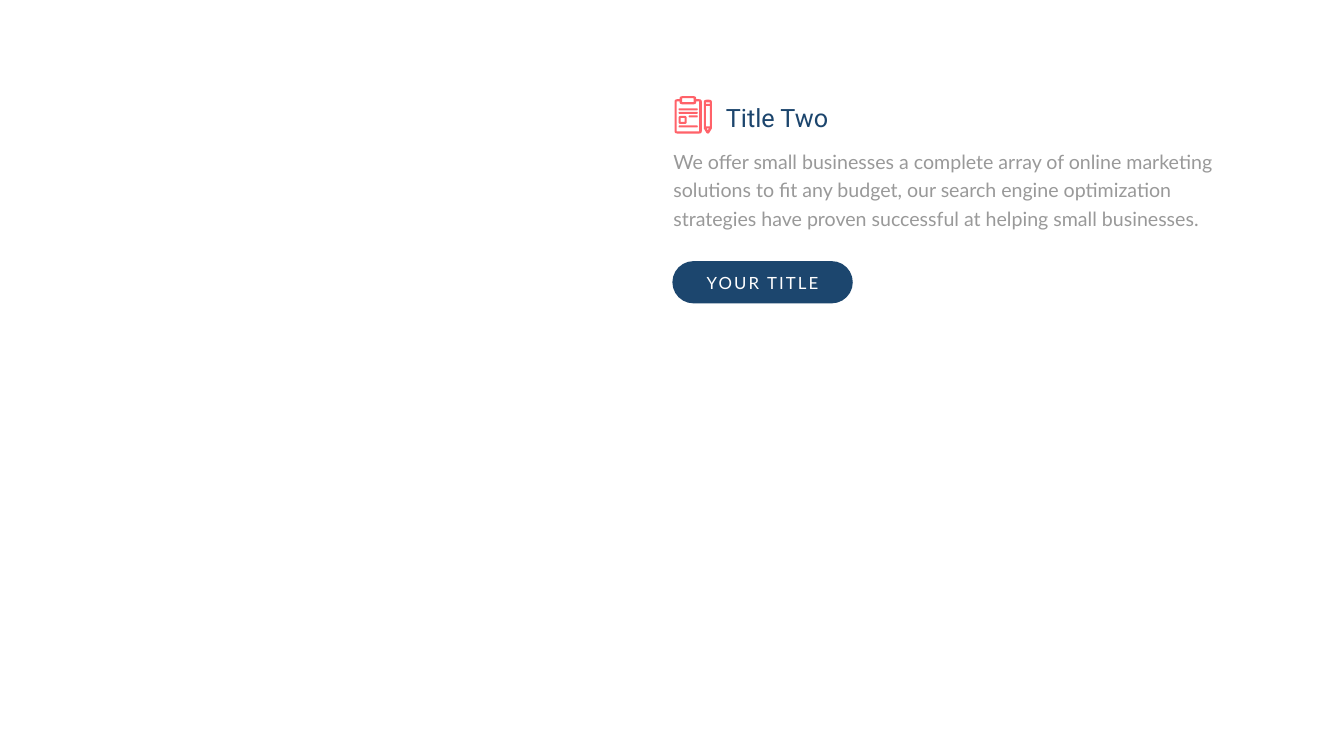
from dataclasses import dataclass
from pptx import Presentation
from pptx.dml.color import RGBColor
from pptx.enum.shapes import MSO_SHAPE
from pptx.enum.text import MSO_ANCHOR, MSO_AUTO_SIZE, PP_ALIGN
from pptx.util import Cm, Pt


@dataclass(frozen=True)
class Theme:
    navy: str = "1C466E"
    ink: str = "1C456D"
    coral: str = "FF6269"
    gray: str = "999999"
    white: str = "FFFFFF"
    head: str = "Roboto"
    body: str = "Lato"
    big: int = 36
    mid: int = 28
    small: int = 24


def write(frame, text, *, font, size, color, align=PP_ALIGN.LEFT,
          lead=None, track=None, wrap=True):
    frame.word_wrap = wrap
    frame.auto_size = MSO_AUTO_SIZE.NONE
    frame.vertical_anchor = MSO_ANCHOR.TOP
    line = frame.paragraphs[0]
    line.alignment = align
    if lead:
        line.line_spacing = Pt(lead)
    run = line.add_run()
    run.text = text
    run.font.name = font
    run.font.size = Pt(size)
    run.font.color.rgb = RGBColor.from_string(color)
    if track:
        run.font._element.set("spc", str(track * 100))


def curve(corners, steps=5):
    points = []
    for i, (x, y, r) in enumerate(corners):
        if not r:
            points.append((x, y))
            continue
        ends = []
        for u, v, _ in (corners[i - 1], corners[(i + 1) % len(corners)]):
            span = ((u - x) ** 2 + (v - y) ** 2) ** 0.5
            ends.append((x + (u - x) * r / span, y + (v - y) * r / span))
        (a, b), (c, d) = ends
        for k in range(steps + 1):
            t = k / steps
            p, q, s = (1 - t) ** 2, 2 * t * (1 - t), t ** 2
            points.append((p * a + q * x + s * c, p * b + q * y + s * d))
    return points


def box(x, y, w, h, r=0):
    return [(x, y, r), (x + w, y, r), (x + w, y + h, r), (x, y + h, r)]


class Deck:
    def __init__(self, theme, width, height):
        self.theme = theme
        self.file = Presentation()
        self.file.slide_width = Cm(width)
        self.file.slide_height = Cm(height)
        self.slide = self.file.slides.add_slide(self.file.slide_layouts[5])

    def paint(self, shape, color):
        shape.shadow.inherit = False
        shape.fill.solid()
        shape.fill.fore_color.rgb = RGBColor.from_string(color)
        shape.line.fill.background()

    def title(self, text, x, y, w, h, **style):
        shape = self.slide.shapes.title
        shape.left, shape.top, shape.width, shape.height = map(Cm, (x, y, w, h))
        write(shape.text_frame, text, **style)

    def text(self, text, x, y, w, h, **style):
        shape = self.slide.shapes.add_textbox(*map(Cm, (x, y, w, h)))
        write(shape.text_frame, text, **style)

    def pill(self, x, y, w, h, color):
        shape = self.slide.shapes.add_shape(
            MSO_SHAPE.ROUNDED_RECTANGLE, *map(Cm, (x, y, w, h)))
        shape.adjustments[0] = 0.5
        self.paint(shape, color)

    def icon(self, parts, x, y, unit, color):
        group = self.slide.shapes.add_group_shape()
        for part in parts:
            rings = [[(Cm(x + u * unit), Cm(y + v * unit)) for u, v in curve(ring)]
                     for ring in part]
            pen = group.shapes.build_freeform(*rings[0][0])
            pen.add_line_segments(rings[0][1:])
            for ring in rings[1:]:
                pen.move_to(*ring[0])
                pen.add_line_segments(ring[1:])
            self.paint(pen.convert_to_shape(), color)


def clipboard():
    rim = [(0, 6, 5), (10, 6, 0), (10, 0, 5), (43, 0, 5),
           (43, 6, 0), (54, 6, 5), (54, 74, 5), (0, 74, 5)]
    sheet = [(4, 10, 1), (10, 10, 0), (10, 16, 5), (43, 16, 5),
             (43, 10, 0), (49, 10, 1), (49, 70, 1), (4, 70, 1)]
    pencil = [(58, 7, 5), (74, 7, 5), (74, 64, 1),
              (68, 74, 2), (64, 74, 2), (58, 64, 1)]
    tip = [(64, 64, 0), (68, 64, 0), (66, 68, 0)]
    bars = [(8, 24, 38), (8, 31, 38), (28, 38, 18), (8, 58, 38)]
    return [
        [rim, sheet, box(15, 4, 23, 8, 1)],
        *[[box(x, y, w, 4, 2)] for x, y, w in bars],
        [box(8, 39, 16, 16, 4), box(12, 43, 8, 8)],
        [pencil, box(62, 12, 8, 3), box(62, 19, 8, 41), tip],
    ]


def main():
    look = Theme()
    deck = Deck(look, 67.72, 38.1)
    deck.icon(clipboard(), 33.99, 4.85, 0.0254, look.coral)
    deck.pill(33.88, 13.16, 9.09, 2.13, look.navy)
    deck.text("YOUR TITLE", 35.23, 13.61, 6.38, 1.27, font=look.body,
              size=look.small, color=look.white, align=PP_ALIGN.CENTER,
              track=3, wrap=False)
    deck.text("We offer small businesses a complete array of online marketing "
              "solutions to fit any budget, our search engine optimization "
              "strategies have proven successful at helping small businesses.",
              33.68, 7.16, 28.27, 4.5, font=look.body, size=look.mid,
              color=look.gray, lead=40.8)
    deck.title("Title Two", 36.32, 5.03, 8.79, 1.8, font=look.head,
               size=look.big, color=look.ink)
    deck.file.save("out.pptx")


if __name__ == "__main__":
    main()
